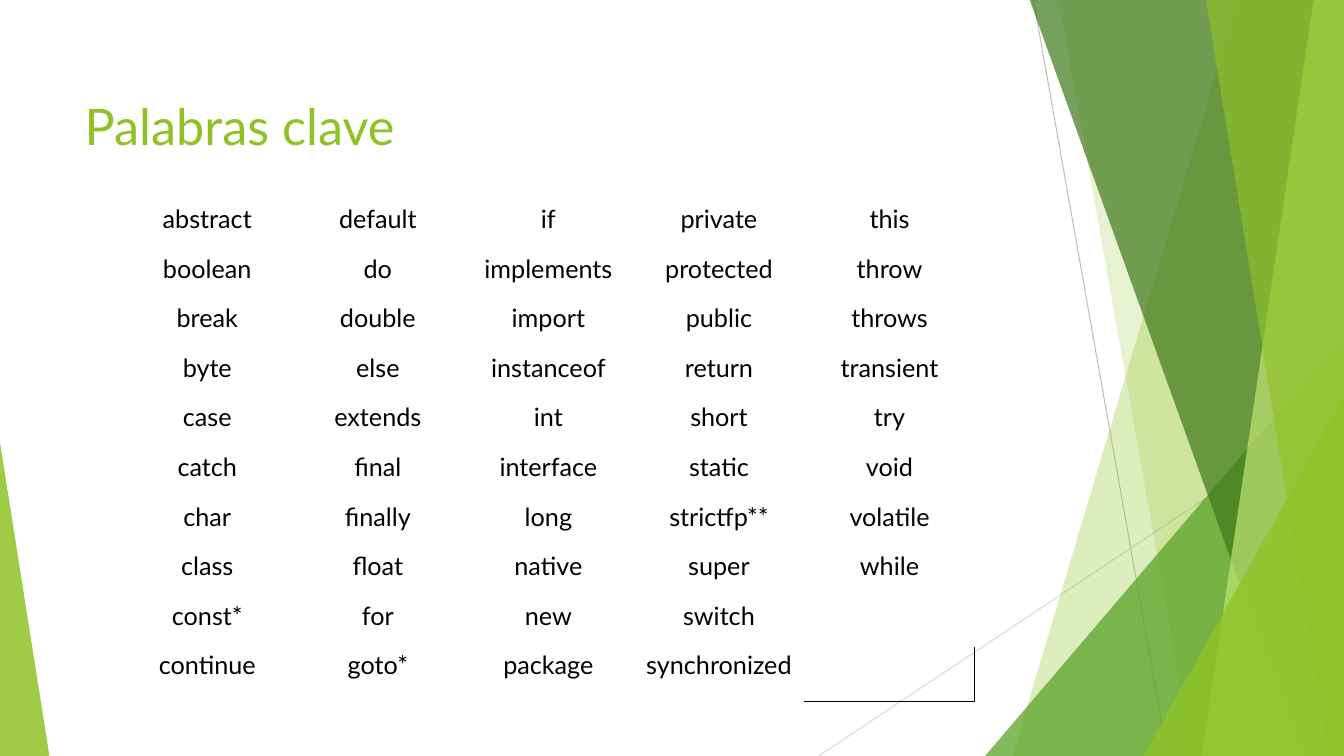
"""Build a slide listing the Java keywords in a five-column table."""
from pptx import Presentation, util as u
from pptx.dml.color import RGBColor
from pptx.enum import shapes, text
from pptx.oxml import parse_xml
from pptx.oxml.ns import nsdecls, qn
from pptx.oxml.xmlchemy import OxmlElement

WIDTH, HEIGHT = 13.33, 7.5
FACET_TOP = -0.01
NO_STYLE = "{2D5ABB26-0587-4C30-8999-92F81FD0307C}"

FACETS = [
    (12.28, 10.04, "90C226", 30),
    (10.5, 11.83, "90C226", 20),
    "front triangle",
    (10.21, 12.91, "3F7819", 70),
    (13.03, 11.92, "C0E474", 70),
    (11.96, 13.18, "90C226", 65),
]
KEYWORDS = [
    "abstract boolean break byte case catch char class const* continue",
    "default do double else extends final finally float for goto*",
    "if implements import instanceof int interface long native new package",
    "private protected public return short static strictfp** super switch synchronized",
    "this throw throws transient try void volatile while",
]


def color(value):
    return RGBColor.from_string(value)


class KeywordSlide:
    def __init__(self, presentation):
        self.font = "Lato"
        self.accent = "90C226"
        self.ink = "000000"
        self.slide = presentation.slides.add_slide(presentation.slide_layouts[5])

    def format_runs(self, paragraph, size, value):
        for run in paragraph.runs:
            run.font.name = self.font
            run.font.size = u.Pt(size)
            run.font.color.rgb = color(value)

    def paint(self, shape, value, opacity):
        shape.shadow.inherit = False
        shape.line.fill.background()
        shape.fill.solid()
        shape.fill.fore_color.rgb = color(value)
        alpha = OxmlElement("a:alpha")
        alpha.set("val", str(opacity * 1000))
        shape.fill._xPr.find(qn("a:solidFill"))[0].append(alpha)

    def line(self, start, end, value):
        points = [u.Inches(length) for length in (*start, *end)]
        connector = self.slide.shapes.add_connector(shapes.MSO_CONNECTOR.STRAIGHT, *points)
        connector.line.color.rgb = color(value)
        connector.line.width = u.Pt(0.75)
        connector._element.spPr.append(OxmlElement("a:effectLst"))

    def facet(self, top_x, bottom_x, value, opacity):
        corners = [(top_x, FACET_TOP), (WIDTH, FACET_TOP), (WIDTH, HEIGHT), (bottom_x, HEIGHT)]
        points = [(u.Inches(x), u.Inches(y)) for x, y in corners]
        builder = self.slide.shapes.build_freeform(*points[0])
        builder.add_line_segments(points[1:], close=True)
        self.paint(builder.convert_to_shape(), value, opacity)

    def triangle(self, left, top, width, apex, value, opacity):
        box = [u.Inches(length) for length in (left, top, width, HEIGHT - top)]
        shape = self.slide.shapes.add_shape(shapes.MSO_SHAPE.ISOSCELES_TRIANGLE, *box)
        shape.adjustments[0] = apex
        self.paint(shape, value, opacity)

    def title(self, words):
        shape = self.slide.shapes.title
        shape.left, shape.top = u.Inches(0.74), u.Inches(0.89)
        shape.width, shape.height = u.Inches(9.4), u.Inches(1.44)
        frame = shape.text_frame
        frame.text = words
        frame.auto_size = text.MSO_AUTO_SIZE.NONE
        frame.vertical_anchor = text.MSO_ANCHOR.TOP
        frame.paragraphs[0].alignment = text.PP_ALIGN.LEFT
        self.format_runs(frame.paragraphs[0], 36, self.accent)

    def border(self, cell, side):
        cell._tc.get_or_add_tcPr().insert(0, parse_xml(
            f'<a:{side} {nsdecls("a")} w="{u.Pt(1)}"><a:solidFill>'
            f'<a:srgbClr val="{self.ink}"/></a:solidFill></a:{side}>'))

    def keyword_table(self, columns):
        row_count = max(len(column) for column in columns)
        width, height, last_height = 8.46, 4.97, 0.54
        table = self.slide.shapes.add_table(
            row_count, len(columns), u.Inches(1.21), u.Inches(1.99),
            u.Inches(width), u.Inches(height)).table
        table.first_row = table.horz_banding = False
        table._tbl.tblPr.find(qn("a:tableStyleId")).text = NO_STYLE
        for row in table.rows:
            row.height = u.Inches((height - last_height) / (row_count - 1))
        table.rows[row_count - 1].height = u.Inches(last_height)
        for cell in table.iter_cells():
            cell.fill.background()
            cell.margin_left = cell.margin_right = u.Inches(0.03)
            cell.margin_top = cell.margin_bottom = u.Inches(0.03)
        for column_index, column in enumerate(columns):
            for row_index, keyword in enumerate(column):
                paragraph = table.cell(row_index, column_index).text_frame.paragraphs[0]
                paragraph.text = keyword
                paragraph.alignment = text.PP_ALIGN.CENTER
                self.format_runs(paragraph, 18, self.ink)
        corner = table.cell(row_count - 1, len(columns) - 1)
        for side in ("lnB", "lnR"):
            self.border(corner, side)


def main():
    presentation = Presentation()
    presentation.slide_width = u.Inches(WIDTH)
    presentation.slide_height = u.Inches(HEIGHT)
    page = KeywordSlide(presentation)
    page.line((10.25, 0), (11.58, HEIGHT), "BFBFBF")
    page.line((WIDTH, 4.03), (8.12, HEIGHT), "D9D9D9")
    for facet in FACETS:
        if facet == "front triangle":
            page.triangle(9.77, 3.33, 3.56, 1, "54A021", 72)
        else:
            page.facet(*facet)
    page.triangle(11.34, 3.93, 1.99, 1, page.accent, 80)
    page.triangle(0, 4.39, 0.49, 0, page.accent, 85)
    page.title("Palabras clave")
    page.keyword_table([column.split() for column in KEYWORDS])
    presentation.save("out.pptx")


if __name__ == "__main__":
    main()
